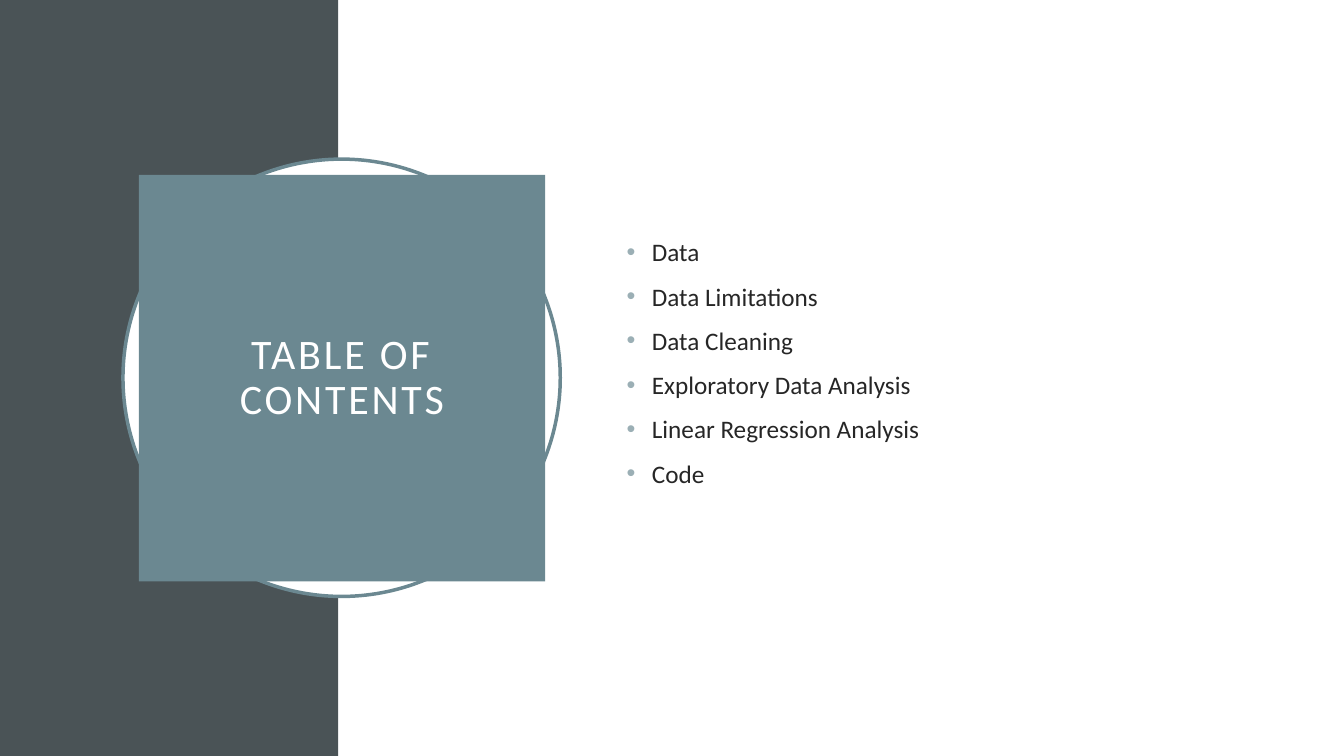
from lxml.etree import SubElement
from pptx import Presentation
from pptx.dml.color import RGBColor
from pptx.enum.shapes import MSO_SHAPE as Shape
from pptx.enum.text import MSO_ANCHOR as Anchor, PP_ALIGN as Align
from pptx.oxml.ns import qn
from pptx.util import Cm, Pt

SLATE = RGBColor(0x4A, 0x53, 0x56)
TEAL = RGBColor(0x6B, 0x88, 0x91)
PALE_TEAL = RGBColor(0x9B, 0xAF, 0xB5)
INK = RGBColor(0x26, 0x26, 0x26)
WHITE = RGBColor(0xFF, 0xFF, 0xFF)

TOPICS = [
    "Data",
    "Data Limitations",
    "Data Cleaning",
    "Exploratory Data Analysis",
    "Linear Regression Analysis",
    "Code",
]


class ContentsSlide:
    font_name = "Calibri"

    def __init__(self, deck):
        self.slide = deck.slides.add_slide(deck.slide_layouts[6])

    def panel(self, kind, left, top, width, height, fill, outline=None):
        panel = self.slide.shapes.add_shape(
            kind, Cm(left), Cm(top), Cm(width), Cm(height))
        panel.shadow.inherit = False
        panel.fill.solid()
        panel.fill.fore_color.rgb = fill
        if outline is None:
            panel.line.fill.background()
        else:
            panel.line.color.rgb = outline
            panel.line.width = Pt(2.5)
        return panel

    def run(self, paragraph, text, size, color):
        run = paragraph.add_run()
        run.text = text
        run.font.name = self.font_name
        run.font.size = Pt(size)
        run.font.color.rgb = color
        return run

    def title(self, panel, text):
        frame = panel.text_frame
        frame.word_wrap = True
        frame.vertical_anchor = Anchor.MIDDLE
        frame.margin_left = frame.margin_right = Cm(0.51)
        frame.margin_top = frame.margin_bottom = Cm(0.51)
        heading = frame.paragraphs[0]
        heading.alignment = Align.CENTER
        heading.line_spacing = 0.9
        run = self.run(heading, text, 30, WHITE)
        run.font._element.set("spc", "200")

    def bullets(self, left, top, width, height, topics):
        frame = self.slide.shapes.add_textbox(
            Cm(left), Cm(top), Cm(width), Cm(height)).text_frame
        frame.word_wrap = True
        frame.vertical_anchor = Anchor.MIDDLE
        frame.margin_bottom = Cm(0.89)
        for index, topic in enumerate(topics):
            entry = frame.add_paragraph() if index else frame.paragraphs[0]
            if index:
                entry.space_before = Pt(10)
            self.bullet(entry)
            self.run(entry, topic, 18, INK)

    def bullet(self, paragraph):
        properties = paragraph._p.get_or_add_pPr()
        indent = Cm(0.64)
        properties.set("marL", str(indent))
        properties.set("indent", str(-indent))
        color = SubElement(properties, qn("a:buClr"))
        SubElement(color, qn("a:srgbClr")).set("val", str(PALE_TEAL))
        SubElement(properties, qn("a:buFont")).set("typeface", "Arial")
        SubElement(properties, qn("a:buChar")).set("char", "•")


def main():
    deck = Presentation()
    deck.slide_width = Cm(33.87)
    deck.slide_height = Cm(19.05)
    contents = ContentsSlide(deck)

    contents.panel(Shape.RECTANGLE, 0, 0, 8.53, 19.05, SLATE)
    contents.panel(Shape.RECTANGLE, 8.53, 0, 25.34, 19.05, WHITE)
    contents.panel(Shape.OVAL, 3.1, 4.01, 11.02, 11.02, WHITE, TEAL)
    title_panel = contents.panel(Shape.RECTANGLE, 3.5, 4.41, 10.24, 10.24, TEAL)
    contents.title(title_panel, "TABLE OF CONTENTS")
    contents.bullets(15.54, 3.89, 14.78, 11.25, TOPICS)

    deck.save("out.pptx")


if __name__ == "__main__":
    main()
